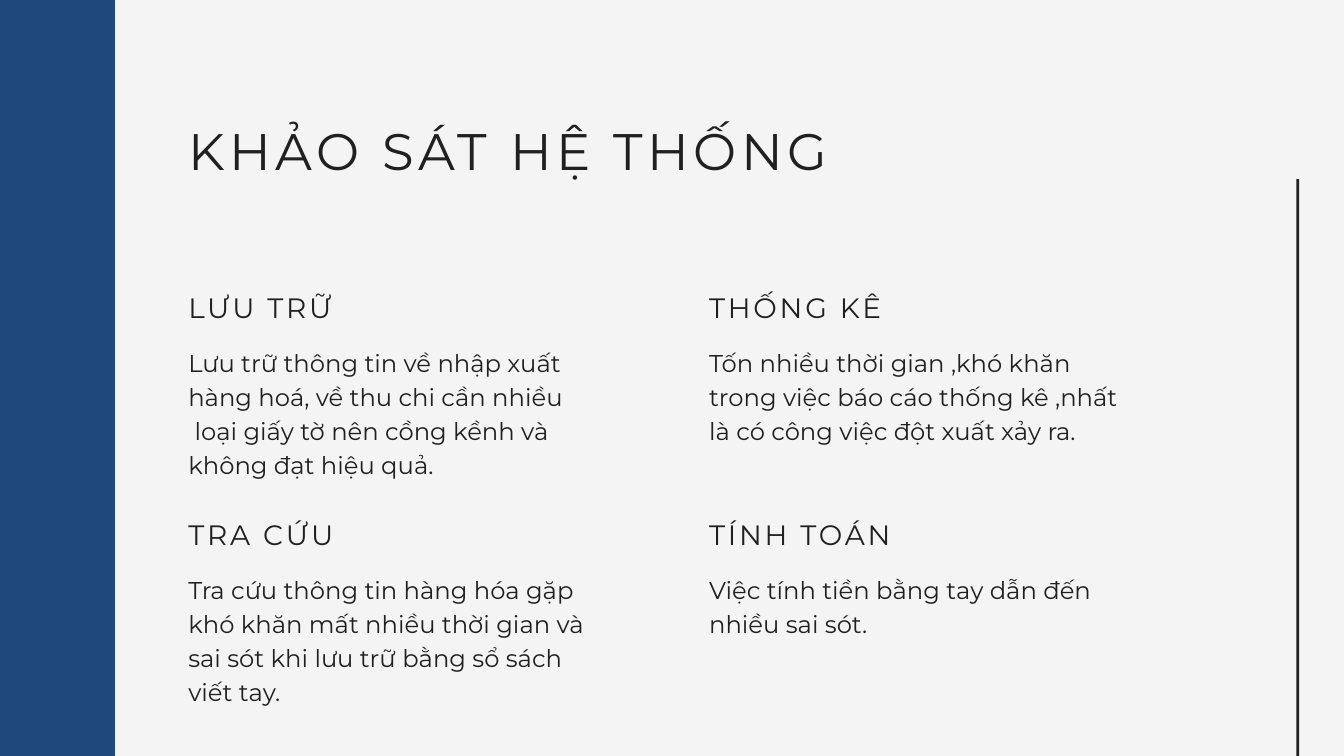
from pptx import Presentation
from pptx.dml.color import RGBColor
from pptx.enum.shapes import MSO_SHAPE
from pptx.enum.text import MSO_AUTO_SIZE
from pptx.util import Emu, Pt

PX = 9525
COLORS = {"paper": "F4F4F4", "ink": "202020", "blue": "1F497D"}
FRAME = {
    "margin_left": 0,
    "margin_top": 0,
    "margin_right": 0,
    "margin_bottom": 0,
    "word_wrap": True,
    "auto_size": MSO_AUTO_SIZE.SHAPE_TO_FIT_TEXT,
}
STYLES = {
    "title": {"size": 55, "leading": 68.8, "tracking": 5},
    "heading": {"size": 30, "leading": 42, "tracking": 3},
    "body": {"size": 26, "leading": 36.4, "tracking": 0},
}


def px(*lengths):
    return [Emu(length * PX) for length in lengths]


def add_text(page, bounds, lines, style):
    box = page.shapes.add_textbox(*px(*bounds))
    frame = box.text_frame
    for name, value in FRAME.items():
        setattr(frame, name, value)
    for index, line in enumerate(lines):
        para = frame.add_paragraph() if index else frame.paragraphs[0]
        para.line_spacing = Pt(style["leading"])
        span = para.add_run()
        span.text = line
        for name, value in {"name": "Montserrat", "size": Pt(style["size"])}.items():
            setattr(span.font, name, value)
        span.font.color.rgb = RGBColor.from_string(COLORS["ink"])
        if style["tracking"]:
            span._r.get_or_add_rPr().set("spc", str(style["tracking"] * 100))


deck = Presentation()
deck.slide_width, deck.slide_height = px(1920, 1080)
page = deck.slides.add_slide(deck.slide_layouts[6])
page.background.fill.solid()
page.background.fill.fore_color.rgb = RGBColor.from_string(COLORS["paper"])

bars = [
    ((1852, 256, 4, 864), "ink"),
    ((-74, -36, 238, 1196), "blue"),
]
for bounds, color in bars:
    bar = page.shapes.add_shape(MSO_SHAPE.RECTANGLE, *px(*bounds))
    bar.shadow.inherit = False
    bar.fill.solid()
    bar.fill.fore_color.rgb = RGBColor.from_string(COLORS[color])
    bar.line.fill.background()

add_text(page, (269, 166, 1308, 90), ["KHẢO SÁT HỆ THỐNG"], STYLES["title"])

topics = [
    (0, 0, 190, "LƯU TRỮ", [
        "Lưu trữ thông tin về nhập xuất hàng hoá, về thu chi cần nhiều",
        " loại giấy tờ nên cồng kềnh và không đạt hiệu quả.",
    ]),
    (0, 1, 190, "TRA CỨU", [
        "Tra cứu thông tin hàng hóa gặp khó khăn mất nhiều thời gian và "
        "sai sót khi lưu trữ bằng sổ sách viết tay.",
    ]),
    (1, 0, 141, "THỐNG KÊ", [
        "Tốn nhiều thời gian ,khó khăn trong việc báo cáo thống kê ,nhất "
        "là có công việc đột xuất xảy ra.",
    ]),
    (1, 1, 94, "TÍNH TOÁN", [
        "Việc tính tiền bằng tay dẫn đến nhiều sai sót.",
    ]),
]
for column, row, height, heading, lines in topics:
    left = 269 + column * 744
    top = 407 + row * 324
    add_text(page, (left, top + 84, 599, height), lines, STYLES["body"])
    add_text(page, (left, top, 599, 54), [heading], STYLES["heading"])

deck.save("out.pptx")
